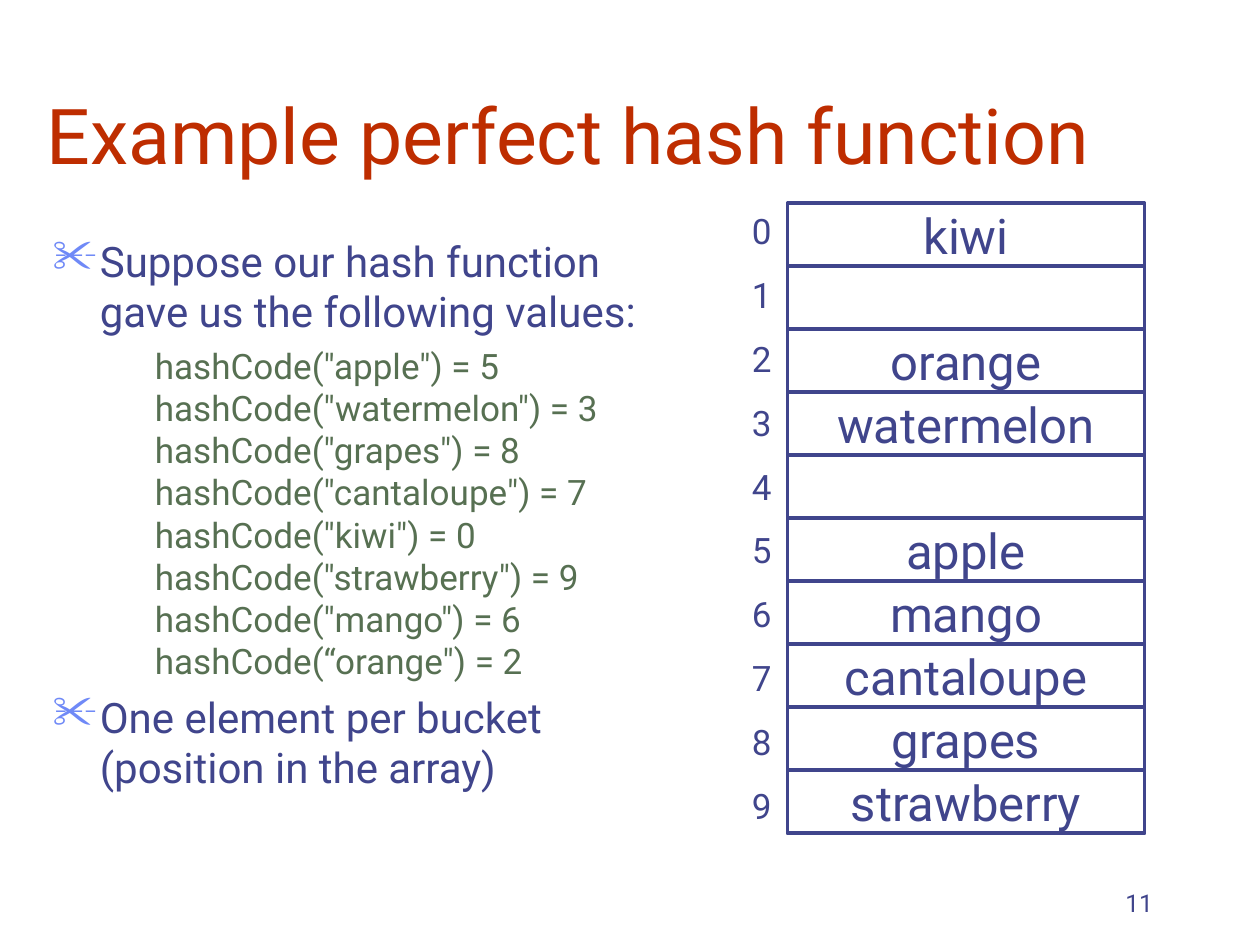
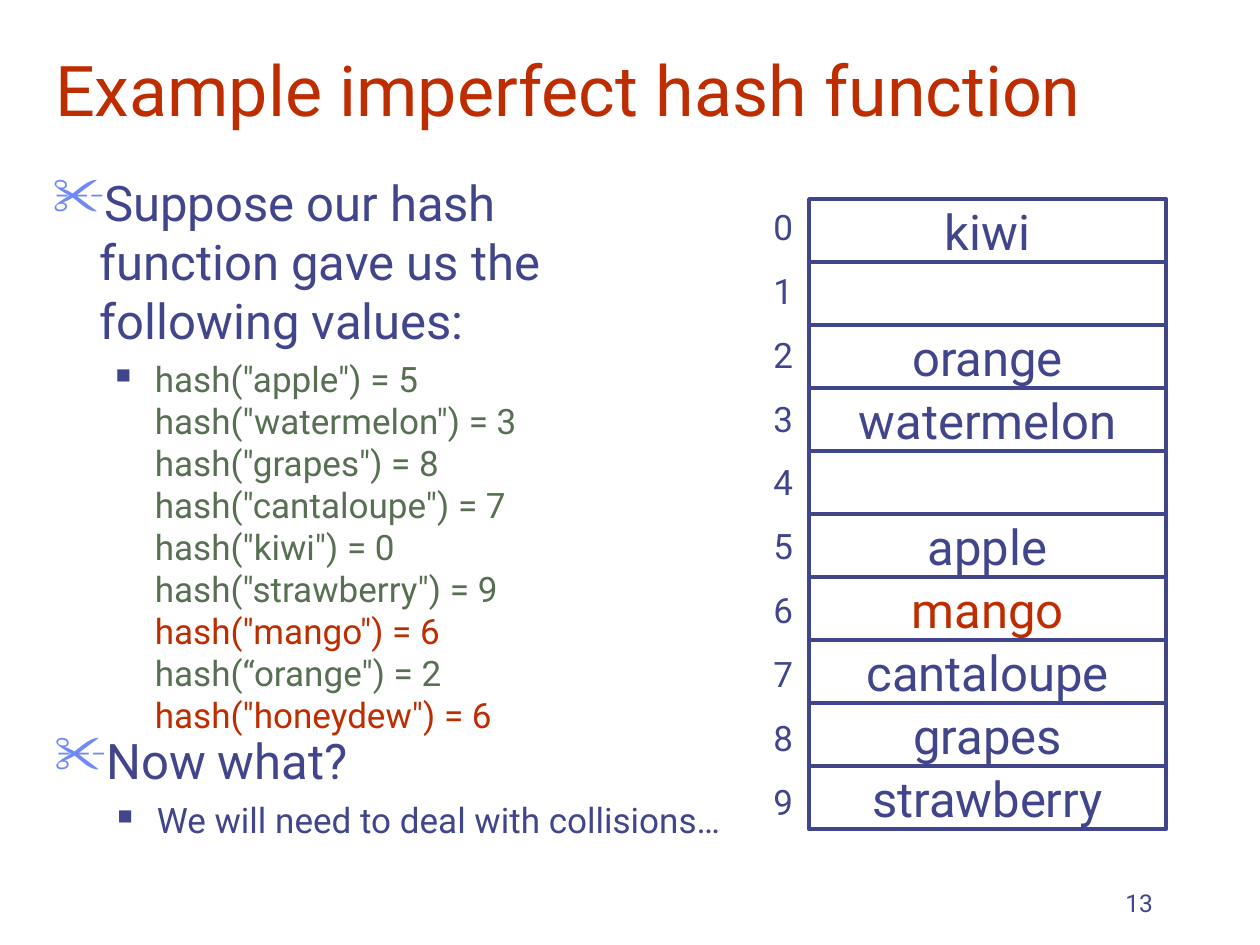
import pptx
import pptx.dml.color
import pptx.enum.shapes
import pptx.enum.text
import pptx.util
from lxml import etree
from pptx.oxml.ns import qn

Pt = pptx.util.Pt
ALIGN = pptx.enum.text.PP_ALIGN
ANCHOR = pptx.enum.text.MSO_ANCHOR

FONT = "Roboto"
COLORS = {
    "ink": "40458C",
    "accent": "BE2D00",
    "code": "577052",
    "scissors": "6F89F7",
}

HASHES = [("apple", 5), ("watermelon", 3), ("grapes", 8), ("cantaloupe", 7),
          ("kiwi", 0), ("strawberry", 9), ("mango", 6), ("orange", 2)]
INTRO = "Suppose our hash function gave us the following values:"

# Each text area: (left, top, width, height), then (kind, text) entries;
# the "code" kind stands for the list of hash values.
SLIDES = [
    {
        "title": "Example perfect hash function",
        "title_box": (19.5, 16.5, 612, 90), "title_size": 44,
        "function": "hashCode", "hashes": HASHES,
        "code_bullet": " ", "point_size": 24, "point_gap": 6,
        "areas": [((23, 131, 382, 363),
                   [("point", INTRO), ("code", None),
                    ("point", "One element per bucket (position in the array)")])],
        "buckets_at": (450, 116.2), "page": "11",
    },
    {
        "title": "Example imperfect hash function",
        "title_box": (24.5, -12, 612, 90), "title_size": 40,
        "function": "hash", "hashes": HASHES + [("honeydew", 6)],
        "code_bullet": "■", "point_size": 28, "point_gap": 7,
        "areas": [((23, 95, 343.5, 379.5),
                   [("point", INTRO), ("code", None)]),
                  ((24, 414, 408, 108),
                   [("point", "Now what?"),
                    ("detail", "We will need to deal with collisions…")])],
        "buckets_at": (462.3, 113.8), "page": "13",
    },
]

BUCKET_COUNT = 10
BUCKET_WIDTH, BUCKET_HEIGHT = 204, 36
INDEX_OFFSET, INDEX_WIDTH = 27.4, 26
PAGE_BOX = (516, 492, 150, 36)
DETAIL_SIZE, DETAIL_GAP = 20, 5


def rgb(color):
    return pptx.dml.color.RGBColor.from_string(COLORS[color])


def format_runs(paragraph, size, color):
    for run in paragraph.runs:
        run.font.name = FONT
        run.font.size = Pt(size)
        run.font.color.rgb = rgb(color)


def add_text_frame(shapes, box, anchor=ANCHOR.TOP, wrap=True):
    frame = shapes.add_textbox(*map(Pt, box)).text_frame
    frame.word_wrap = wrap
    frame.vertical_anchor = anchor
    return frame


def add_line(shapes, box, text, size, color, align=ALIGN.LEFT):
    """Add one bottom-anchored line of text."""
    frame = add_text_frame(shapes, box, ANCHOR.BOTTOM)
    frame.text = text
    frame.paragraphs[0].alignment = align
    format_runs(frame.paragraphs[0], size, color)


def set_bullet(paragraph, symbol, color, percent, margin, hanging):
    properties = paragraph._p.get_or_add_pPr()
    properties.set("marL", str(Pt(margin)))
    properties.set("indent", str(-Pt(hanging)))
    bullet_color = etree.SubElement(properties, qn("a:buClr"))
    etree.SubElement(bullet_color, qn("a:srgbClr"), val=COLORS[color])
    etree.SubElement(properties, qn("a:buSzPct"), val=str(percent * 1000))
    etree.SubElement(properties, qn("a:buChar"), char=symbol)


def code_line(function, key, value):
    opening = "“" if key == "orange" else '"'
    return f'{function}({opening}{key}") = {value}'


def add_area(slide, content, collisions, box, entries):
    """Add a text area of points, details and hash values."""
    frame = add_text_frame(slide.shapes, box)
    for number, (kind, text) in enumerate(entries):
        paragraph = frame.add_paragraph() if number else frame.paragraphs[0]
        if kind == "point":
            paragraph.text = text
            paragraph.space_before = Pt(content["point_gap"])
            set_bullet(paragraph, "✂", "scissors", 110, 27, 27)
            format_runs(paragraph, content["point_size"], "ink")
            continue
        paragraph.level = 1
        paragraph.space_before = Pt(DETAIL_GAP)
        if kind == "detail":
            paragraph.text = text
            set_bullet(paragraph, "■", "ink", 60, 58.5, 22.5)
            format_runs(paragraph, DETAIL_SIZE, "ink")
            continue
        hashes = content["hashes"]
        paragraph.text = "\v".join(code_line(content["function"], *pair) for pair in hashes)
        set_bullet(paragraph, content["code_bullet"], "ink", 60, 58.5, 22.5)
        format_runs(paragraph, DETAIL_SIZE, "code")
        for run, (_, value) in zip(paragraph.runs, hashes):
            if value in collisions:
                run.font.color.rgb = rgb("accent")


def add_buckets(slide, content, collisions):
    """Draw the array with its indices; the first key to arrive holds a bucket."""
    left, top = content["buckets_at"]
    keys = {}
    for key, value in content["hashes"]:
        keys.setdefault(value, key)
    shapes = slide.shapes.add_group_shape().shapes
    for index in range(BUCKET_COUNT):
        bucket = shapes.add_shape(
            pptx.enum.shapes.MSO_SHAPE.FLOWCHART_PROCESS,
            Pt(left), Pt(top + index * BUCKET_HEIGHT), Pt(BUCKET_WIDTH), Pt(BUCKET_HEIGHT))
        bucket.shadow.inherit = False
        bucket.fill.background()
        bucket.line.color.rgb = rgb("ink")
        bucket.line.width = Pt(2.25)
        if index in keys:
            frame = bucket.text_frame
            frame.word_wrap = False
            frame.vertical_anchor = ANCHOR.MIDDLE
            frame.text = keys[index]
            frame.paragraphs[0].alignment = ALIGN.CENTER
            format_runs(frame.paragraphs[0], 28, "accent" if index in collisions else "ink")

    indices = add_text_frame(
        shapes, (left - INDEX_OFFSET, top, INDEX_WIDTH, BUCKET_COUNT * BUCKET_HEIGHT), wrap=False)
    indices.text = "\n".join(map(str, range(BUCKET_COUNT)))
    for paragraph in indices.paragraphs:
        paragraph.space_before = Pt(12.5)
        format_runs(paragraph, 20, "ink")


def build_slide(deck, content):
    slide = deck.slides.add_slide(deck.slide_layouts[6])
    values = [value for _, value in content["hashes"]]
    collisions = {value for value in values if values.count(value) > 1}
    add_line(slide.shapes, content["title_box"], content["title"],
             content["title_size"], "accent")
    for box, entries in content["areas"]:
        add_area(slide, content, collisions, box, entries)
    add_buckets(slide, content, collisions)
    add_line(slide.shapes, PAGE_BOX, content["page"], 14, "ink", ALIGN.RIGHT)


def main():
    deck = pptx.Presentation()
    deck.slide_width, deck.slide_height = Pt(720), Pt(540)
    for content in SLIDES:
        build_slide(deck, content)
    deck.save("out.pptx")


if __name__ == "__main__":
    main()
